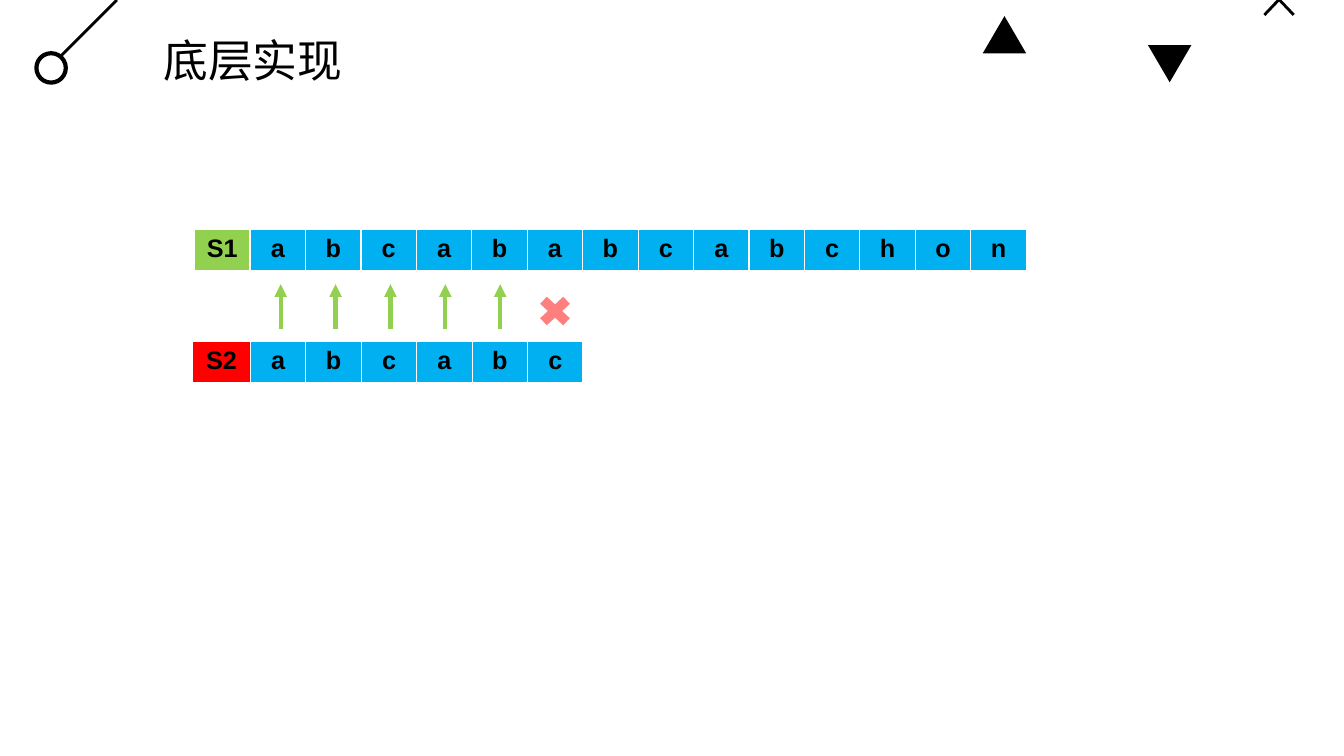
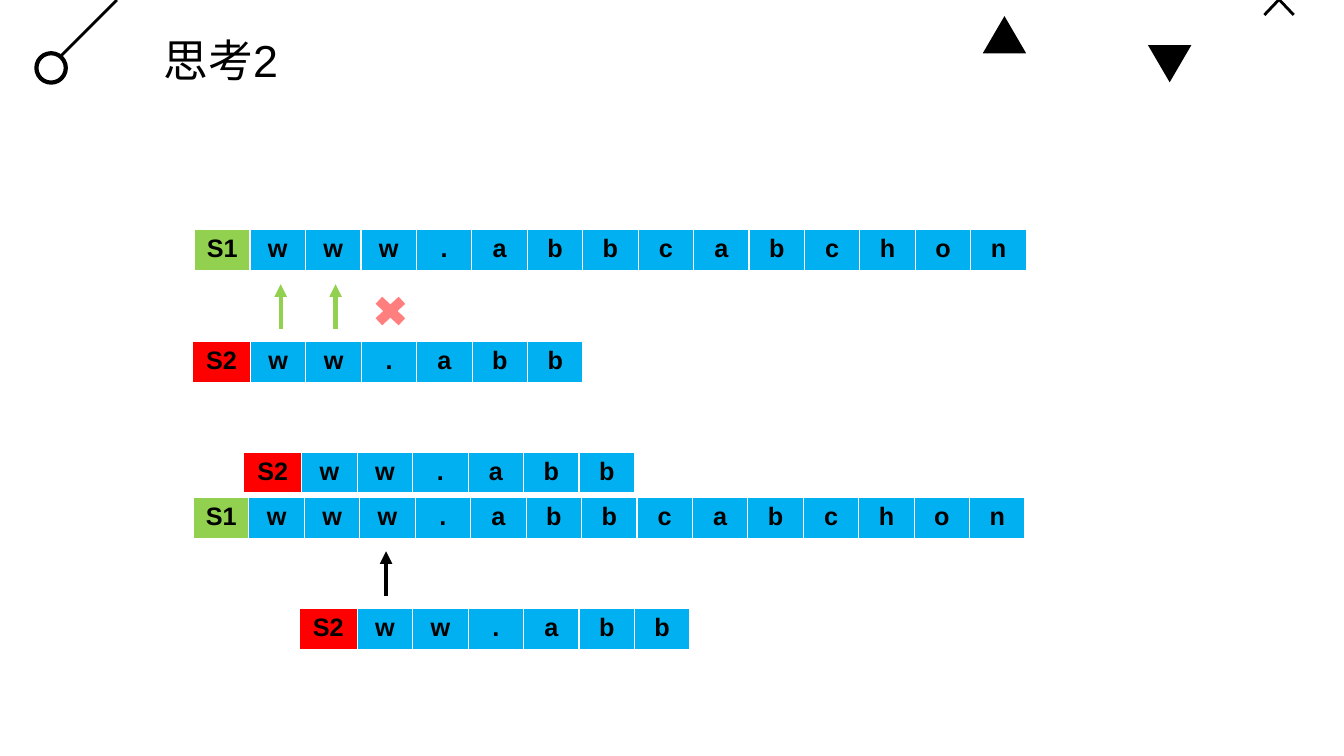
from lxml import etree
from pptx import Presentation
from pptx.dml.color import RGBColor
from pptx.enum import shapes, text
from pptx.oxml.ns import qn
from pptx.util import Pt

HUES = {"black": "000000", "white": "FFFFFF", "green": "92D050",
        "red": "FF0000", "blue": "00B0F0"}
KINDS = shapes.MSO_SHAPE
FONT = "Arial"
CELL_W, CELL_H = 39.6, 29.2
HEADS = {"S1": ("green", CELL_W), "S2": ("red", 41.4)}
MATCH_X, MATCH_STEP = 200.5, 39.2
ARROW_H = 32


def hue(name):
    return RGBColor.from_string(HUES[name])


class Deck:
    def __init__(self):
        self.prs = Presentation()
        self.prs.slide_width, self.prs.slide_height = Pt(960), Pt(540)
        self.slide = None

    def page(self, title):
        self.slide = self.prs.slides.add_slide(self.prs.slide_layouts[5])
        self.decor()
        self.title(title)

    def style(self, para, size, bold=False):
        font = para.font
        font.name, font.size, font.bold = FONT, Pt(size), bold
        font.color.rgb = hue("black")

    def title(self, words):
        box = self.slide.shapes.title
        box.left, box.top, box.width, box.height = Pt(109.5), Pt(19.5), Pt(560), Pt(46)
        frame = box.text_frame
        frame.text = words
        frame.vertical_anchor = text.MSO_ANCHOR.MIDDLE
        frame.auto_size = text.MSO_AUTO_SIZE.SHAPE_TO_FIT_TEXT
        para = frame.paragraphs[0]
        para.alignment = text.PP_ALIGN.LEFT
        self.style(para, 32)

    def shape(self, kind, x, y, w, h, fill="black", line=None):
        item = self.slide.shapes.add_shape(kind, Pt(x), Pt(y), Pt(w), Pt(h))
        item.shadow.inherit = False
        item.fill.solid()
        item.fill.fore_color.rgb = hue(fill)
        if line:
            item.line.color.rgb = hue("black")
            item.line.width = Pt(line)
        else:
            item.line.fill.background()
        return item

    def line(self, x1, y1, x2, y2, color="black", width=2, arrow=False):
        item = self.slide.shapes.add_connector(
            shapes.MSO_CONNECTOR.STRAIGHT, Pt(x1), Pt(y1), Pt(x2), Pt(y2))
        item.line.color.rgb = hue(color)
        item.line.width = Pt(width)
        if arrow:
            etree.SubElement(item.line._get_or_add_ln(), qn("a:tailEnd"), type="triangle")
        etree.SubElement(item._element.spPr, qn("a:effectLst"))

    def decor(self):
        self.line(41, 42.5, 83.5, 0)
        self.shape(KINDS.OVAL, 26, 38, 21, 21, "white", 3)
        self.shape(KINDS.ISOSCELES_TRIANGLE, 702, 11.5, 31, 26.6)
        self.shape(KINDS.ISOSCELES_TRIANGLE, 820, 32.2, 31, 26.6).rotation = 180
        self.shape(KINDS.MATH_MULTIPLY, 893.5, -21.6, 40.3, 42.5).adjustments[0] = 0.05

    def row(self, head, chars, x, y):
        """Draw a string as a one-row table, led by its name."""
        color, wide = HEADS[head]
        count = len(chars) + 1
        table = self.slide.shapes.add_table(
            1, count, Pt(x), Pt(y), Pt(wide + CELL_W * len(chars)), Pt(CELL_H)).table
        table.horz_banding = False
        for i, word in enumerate([head, *chars]):
            table.columns[i].width = Pt(CELL_W if i else wide)
            cell = table.cell(0, i)
            cell.text = word
            cell.fill.solid()
            cell.fill.fore_color.rgb = hue("blue" if i else color)
            para = cell.text_frame.paragraphs[0]
            para.alignment = text.PP_ALIGN.CENTER
            self.style(para, 18, True)

    def arrow(self, x, y, color):
        """Draw an upward arrow with its tip at x, y."""
        self.line(x, y + ARROW_H, x, y, color, 3, True)

    def cross(self, x):
        item = self.shape(KINDS.MATH_MULTIPLY, x - 15.85, 207.4, 31.7, 29.5, "red")
        tint = item._element.spPr.find(".//" + qn("a:srgbClr"))
        etree.SubElement(tint, qn("a:alpha"), val="50000")

    def match(self, full, part, hits):
        """Compare two strings: arrows for the hits, then a cross."""
        self.row("S1", full, 139, 164.2)
        self.row("S2", part, 137.5, 244)
        for i in range(hits):
            self.arrow(MATCH_X + i * MATCH_STEP, 203, "green")
        self.cross(MATCH_X + hits * MATCH_STEP)


def main():
    deck = Deck()
    deck.page("底层实现")
    deck.match("abcabababcabchon"[:5] + "abcabchon", "abcabc", 5)

    full, part = "www.abbcabchon", "ww.abb"
    deck.page("思考2")
    deck.match(full, part, 2)
    deck.row("S1", full, 138.2, 355.2)
    deck.row("S2", part, 213.8, 434.9)
    deck.arrow(275.8, 393.8, "black")
    deck.row("S2", part, 174.2, 323)
    deck.prs.save("out.pptx")


if __name__ == "__main__":
    main()
